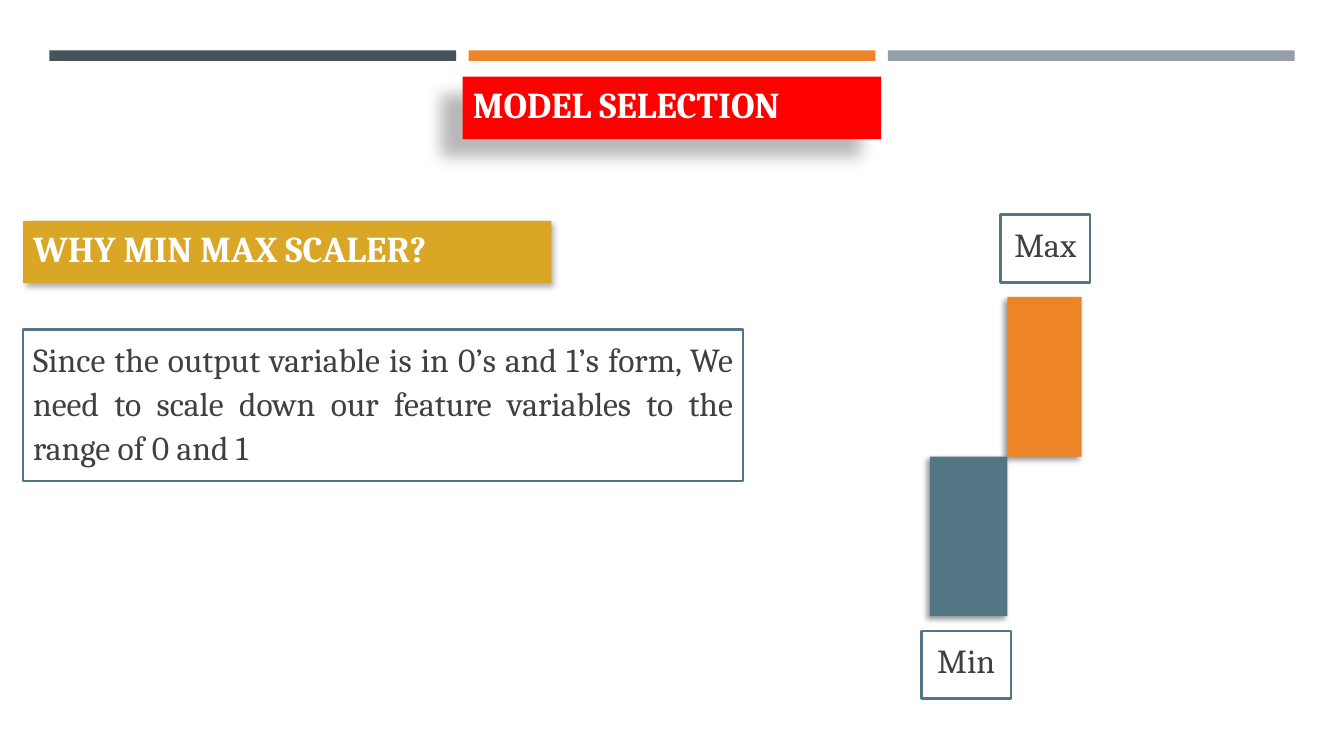
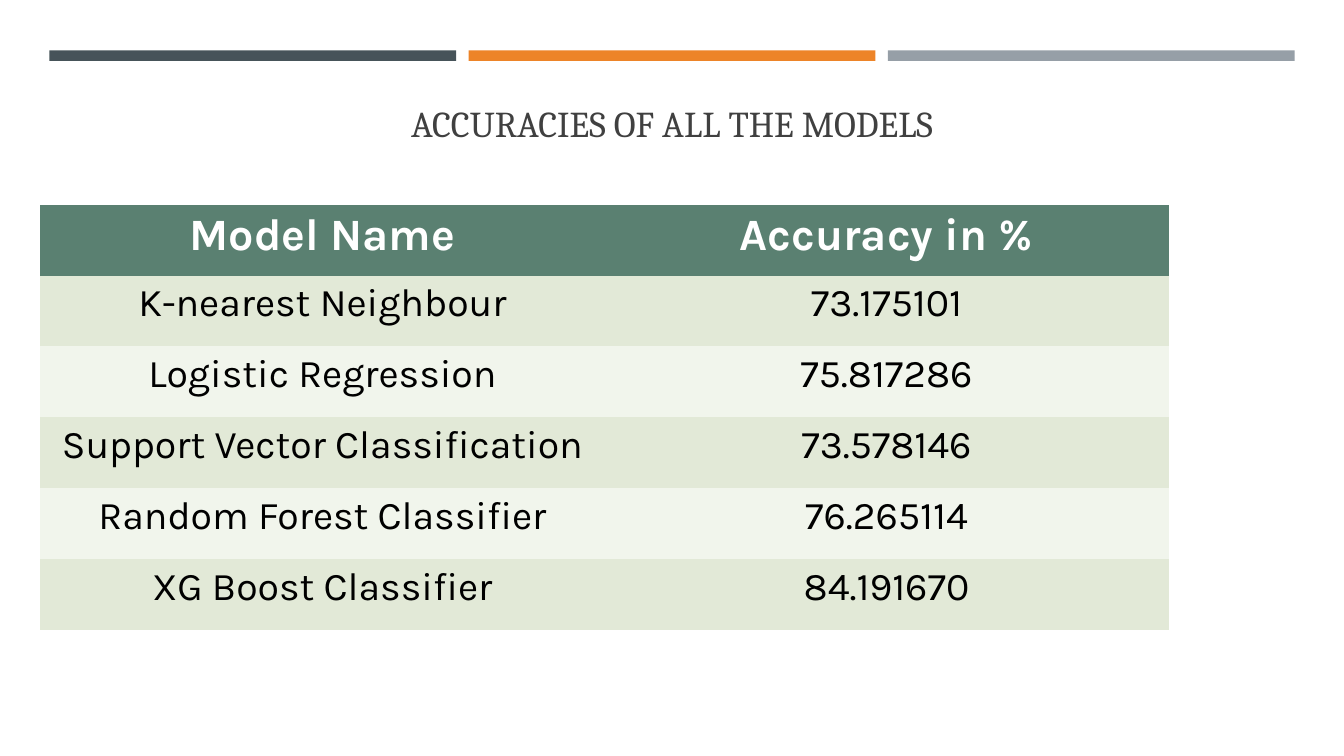
from dataclasses import dataclass

from lxml.etree import SubElement
from pptx import Presentation
from pptx.dml.color import RGBColor
from pptx.enum.shapes import MSO_SHAPE
from pptx.enum.text import MSO_ANCHOR, MSO_AUTO_SIZE, PP_ALIGN
from pptx.oxml.ns import qn
from pptx.util import Inches, Pt


@dataclass(frozen=True)
class Theme:
    """Colours, fonts and type sizes of the presentation."""

    white: str = "FFFFFF"
    black: str = "000000"
    text: str = "404040"
    slate: str = "465359"
    orange: str = "ED8428"
    grey: str = "969FA7"
    red: str = "FF0000"
    gold: str = "D9A725"
    blue: str = "537685"
    green: str = "5A8071"
    row_dark: str = "E2E9D7"
    row_light: str = "F1F5EC"
    serif: str = "Cambria"
    sans: str = "Karla"
    title_size: int = 26
    body_size: int = 24
    header_size: int = 32
    cell_size: int = 28
    outline: float = 1.75


@dataclass(frozen=True)
class Shadow:
    """Opacity in percent, blur and distance in points, angle in degrees."""

    opacity: int
    blur: float
    distance: float
    angle: int


@dataclass(frozen=True)
class Box:
    """A rectangle that can be divided by shares of its size."""

    left: float
    top: float
    width: float
    height: float

    def share(self, left, top, width, height):
        """Return the area of this box at the given shares of its size."""
        return Box(self.left + left * self.width, self.top + top * self.height,
                   width * self.width, height * self.height)

    def cells(self, left, top, width, height):
        """Return the area at the given columns and rows of a 100 by 100 grid."""
        return self.share(left / 100, top / 100, width / 100, height / 100)

    def lengths(self):
        """Return left, top, width and height as slide lengths."""
        return [Inches(length) for length in (self.left, self.top, self.width, self.height)]


THEME = Theme()
SLIDE = Box(0, 0, 13.33, 7.5)
TITLE_SHADOW = Shadow(28, 11.8, 19.7, 141)
HEADING_SHADOW = Shadow(30, 4.5, 2.6, 53)
BAR_SHADOW = Shadow(40, 4, 3, 135)
ACCURACIES = [
    ("Model Name", "Accuracy in %"),
    ("K-nearest Neighbour", "73.175101"),
    ("Logistic Regression", "75.817286"),
    ("Support Vector Classification", "73.578146"),
    ("Random Forest Classifier", "76.265114"),
    ("XG Boost Classifier", "84.191670"),
]


def color(value):
    """Return a colour from its hexadecimal form."""
    return RGBColor.from_string(value)


def write(frame, text, size, ink, font=THEME.serif, bold=False, align=PP_ALIGN.LEFT):
    """Fill a text frame with one formatted paragraph and return it."""
    frame.text = text
    frame.word_wrap = True
    paragraph = frame.paragraphs[0]
    paragraph.alignment = align
    for run in paragraph.runs:
        run.font.name = font
        run.font.size = Pt(size)
        run.font.bold = bold
        run.font.color.rgb = color(ink)
    return paragraph


def add_shadow(shape, shadow):
    """Give a shape an outer shadow."""
    shape.shadow.inherit = False
    effects = shape.element.spPr.find(qn("a:effectLst"))
    outer = SubElement(effects, qn("a:outerShdw"), blurRad=str(Pt(shadow.blur)),
                       dist=str(Pt(shadow.distance)), dir=str(shadow.angle * 60000),
                       algn="ctr", rotWithShape="0")
    ink = SubElement(outer, qn("a:srgbClr"), val=THEME.black)
    SubElement(ink, qn("a:alpha"), val=str(shadow.opacity * 1000))


def add_rectangle(slide, box, fill, line=None, shadow=None):
    """Draw a filled rectangle with an optional outline and shadow."""
    shape = slide.shapes.add_shape(MSO_SHAPE.RECTANGLE, *box.lengths())
    shape.shadow.inherit = False
    shape.fill.solid()
    shape.fill.fore_color.rgb = color(fill)
    if line:
        shape.line.color.rgb = color(line)
        shape.line.width = Pt(THEME.outline)
    else:
        shape.line.fill.background()
    if shadow:
        add_shadow(shape, shadow)
    shape.text_frame.vertical_anchor = MSO_ANCHOR.TOP
    return shape


def add_text_panel(slide, box, text, align):
    """Draw an outlined white panel with body text."""
    shape = add_rectangle(slide, box, THEME.white, line=THEME.blue)
    paragraph = write(shape.text_frame, text, THEME.body_size, THEME.text, align=align)
    paragraph.line_spacing = 1.1
    paragraph.space_before = Pt(0.2 * THEME.body_size)
    paragraph.space_after = Pt(6)


def set_title(slide, box, text, ink=THEME.text, bold=False, align=PP_ALIGN.CENTER):
    """Place and format the title placeholder."""
    title = slide.shapes.title
    title.left, title.top, title.width, title.height = box.lengths()
    write(title.text_frame, text, THEME.title_size, ink, bold=bold, align=align)
    title.text_frame.vertical_anchor = MSO_ANCHOR.TOP
    title.text_frame.auto_size = MSO_AUTO_SIZE.NONE
    return title


def add_bands(slide, box):
    """Place three coloured bands on the layout that the slide uses."""
    gap = 0.01
    width = (1 - 2 * gap) / 3
    for column, fill in enumerate((THEME.slate, THEME.orange, THEME.grey)):
        band = add_rectangle(slide, box.share(column * (width + gap), 0, width, 1), fill)
        slide.slide_layout.shapes.element.append(band.element)


def add_scaler_diagram(slide, box):
    """Draw the maximum and minimum bars, which meet at a corner, with labels."""
    middle = 0.51
    add_rectangle(slide, box.share(middle, 0.17, 0.44, 0.33), THEME.orange, shadow=BAR_SHADOW)
    add_rectangle(slide, box.share(0.05, 0.5, middle - 0.05, 0.33), THEME.blue, shadow=BAR_SHADOW)
    for text, left, top in (("Max", 0.47, 0), ("Min", 0, 0.86)):
        add_text_panel(slide, box.share(left, top, 0.53, 0.14), text, PP_ALIGN.CENTER)


def add_accuracy_table(slide, box, rows):
    """Draw a table with a header row and rows of alternating colour."""
    frame = slide.shapes.add_table(len(rows), len(rows[0]), *box.lengths())
    for style in frame.element.iter(qn("a:tableStyleId")):
        style.text = "{2D5ABB26-0587-4C30-8999-92F81FD0307C}"
    for row, values in enumerate(rows):
        header = row == 0
        band = THEME.row_dark if row % 2 else THEME.row_light
        for column, value in enumerate(values):
            cell = frame.table.cell(row, column)
            cell.fill.solid()
            cell.fill.fore_color.rgb = color(THEME.green if header else band)
            write(cell.text_frame, value, THEME.header_size if header else THEME.cell_size,
                  THEME.white if header else THEME.black, THEME.sans, header, PP_ALIGN.CENTER)


def build_selection_slide(slide, box):
    """Build the slide that explains the choice of scaler."""
    title = set_title(slide, box.cells(34.43, 10.13, 31.13, 8.27), "MODEL SELECTION",
                      THEME.white, True, PP_ALIGN.LEFT)
    title.fill.solid()
    title.fill.fore_color.rgb = color(THEME.red)
    add_shadow(title, TITLE_SHADOW)
    heading = add_rectangle(slide, box.cells(1.73, 29.2, 39.3, 8.27), THEME.gold,
                            shadow=HEADING_SHADOW)
    write(heading.text_frame, "WHY MIN MAX SCALER?", THEME.title_size, THEME.white, bold=True)
    add_text_panel(slide, box.cells(1.73, 43.6, 53.56, 20),
                   "Since the output variable is in 0’s and 1’s form, We need to scale down "
                   "our feature variables to the range of 0 and 1", PP_ALIGN.JUSTIFY)
    add_scaler_diagram(slide, box.cells(68.57, 28.4, 12.53, 64))


def build_accuracy_slide(slide, box):
    """Build the slide that compares the models."""
    set_title(slide, box.cells(14.1, 12.67, 71.85, 10.27), "ACCURACIES OF ALL THE MODELS")
    add_accuracy_table(slide, box.cells(3, 27.07, 83.95, 56.27), ACCURACIES)


def main():
    """Build and save the presentation."""
    presentation = Presentation()
    presentation.slide_width = Inches(SLIDE.width)
    presentation.slide_height = Inches(SLIDE.height)
    layout = presentation.slide_layouts.get_by_name("Title Only")
    selection, accuracy = [presentation.slides.add_slide(layout) for _ in range(2)]
    add_bands(selection, SLIDE.cells(3.68, 6.67, 92.65, 1.4))
    build_selection_slide(selection, SLIDE)
    build_accuracy_slide(accuracy, SLIDE)
    presentation.save("out.pptx")


if __name__ == "__main__":
    main()
